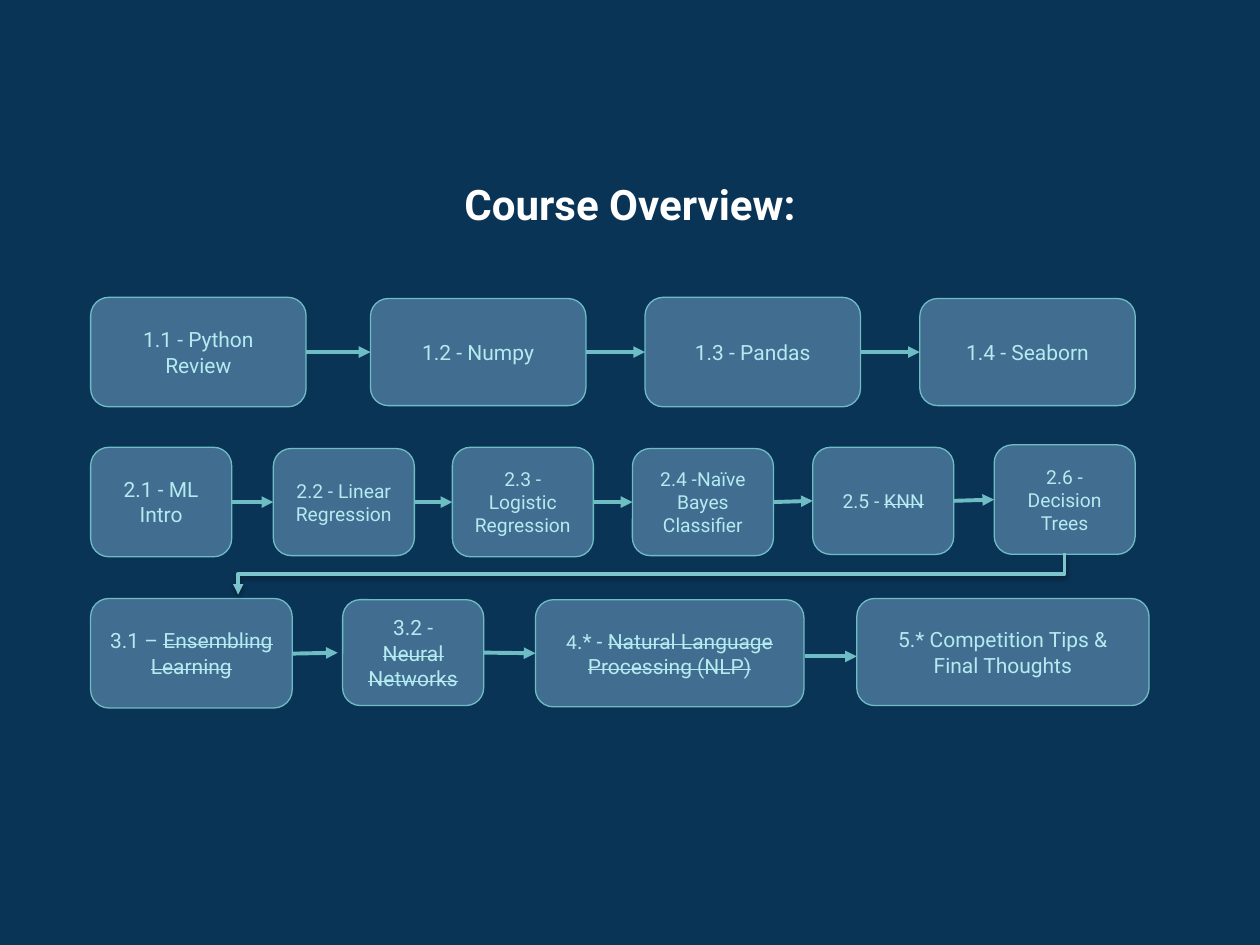
"""Build the course overview slide: three rows of linked course modules."""
from itertools import pairwise

from lxml import etree
from pptx import Presentation
from pptx.dml.color import RGBColor
from pptx.enum.shapes import MSO_CONNECTOR, MSO_SHAPE
from pptx.enum.text import MSO_ANCHOR, PP_ALIGN
from pptx.oxml import parse_xml
from pptx.oxml.ns import nsdecls, qn
from pptx.util import Pt

STRAIGHT, ELBOW = MSO_CONNECTOR.STRAIGHT, MSO_CONNECTOR.ELBOW
ROUNDED = MSO_SHAPE.FLOWCHART_ALTERNATE_PROCESS
MIDDLE, TOP, CENTER = MSO_ANCHOR.MIDDLE, MSO_ANCHOR.TOP, PP_ALIGN.CENTER
LEFT_SIDE, RIGHT_SIDE = 1, 3

NAVY = RGBColor(0x0A, 0x34, 0x55)
STEEL = RGBColor(0x41, 0x6D, 0x90)
TEAL = RGBColor(0x6E, 0xBD, 0xC4)
LIGHT_TEAL = RGBColor(0x7C, 0xC5, 0xCC)
PALE = RGBColor(0xB4, 0xEB, 0xF0)
WHITE = RGBColor(0xFF, 0xFF, 0xFF)

WIDE, NARROW = 123.1, 80.6
ROWS = [
    [
        (51.8, 169.9, WIDE, 62.6, [("1.1 - Python Review", 12, False)]),
        (211.7, 170.6, WIDE, 61.2, [("1.2 - Numpy", 12, False)]),
        (368.6, 169.9, WIDE, 62.6, [("1.3 - Pandas", 12, False)]),
        (525.6, 170.6, WIDE, 61.2, [("1.4 - Seaborn", 12, False)]),
    ],
    [
        (51.8, 255.6, NARROW, 62.6, [("2.1 - ML Intro", 12, False)]),
        (156.2, 256.3, NARROW, 61.2, [("2.2 - Linear Regression", 11, False)]),
        (258.5, 255.6, NARROW, 62.6, [("2.3 - Logistic Regression", 11, False)]),
        (361.4, 256.3, NARROW, 61.2, [("2.4 -Naïve Bayes Classifier", 11, False)]),
        (464.4, 255.6, NARROW, 61.2, [("2.5 - ", 11, False), ("KNN", 11, True)]),
        (568.1, 254.2, NARROW, 62.6, [("2.6 - Decision Trees", 11, False)]),
    ],
    [
        (51.8, 342, 115.2, 62.6, [("3.1 – ", 12, False), ("Ensembling Learning", 12, True)]),
        (195.8, 342.7, NARROW, 60.5, [("3.2 - ", 12, False), ("Neural Networks", 12, True)]),
        (306, 342.7, 153.4, 61.2, [("4", 11, False), (".* - ", 12, False),
                                   ("Natural Language Processing (NLP)", 12, True)]),
        (489.6, 342, 167, 61.2, [("5.* Competition Tips & Final Thoughts", 12, False)]),
    ],
]
LOOSE_ARROWS = [(167, 373.5, 193, 373), (460.1, 375.1, 489.6, 375.1)]
TURN_START, TURN_END = (608.4, 316.1), (136.1, 339.8)


def add_arrow(kind, x1, y1, x2, y2, color, width):
    arrow = slide.shapes.add_connector(kind, Pt(x1), Pt(y1), Pt(x2), Pt(y2))
    arrow.line.color.rgb = color
    arrow.line.width = Pt(width)
    line = arrow.line._get_or_add_ln()
    etree.SubElement(line, qn("a:tailEnd"), type="triangle")
    etree.SubElement(arrow._element.spPr, qn("a:effectLst"))
    return arrow


def write_text(shape, runs, color, anchor, bold=False):
    frame = shape.text_frame
    frame.word_wrap = True
    frame.vertical_anchor = anchor
    frame.margin_left = frame.margin_right = Pt(7.2)
    frame.margin_top = frame.margin_bottom = Pt(7.2)
    paragraph = frame.paragraphs[0]
    paragraph.alignment = CENTER
    for text, size, struck in runs:
        run = paragraph.add_run()
        run.text = text
        run.font.name = "Roboto"
        run.font.size = Pt(size)
        run.font.bold = bold
        run.font.color.rgb = color
        if struck:
            run._r.get_or_add_rPr().set("strike", "sngStrike")


deck = Presentation()
deck.slide_width, deck.slide_height = Pt(720), Pt(540)
slide = deck.slides.add_slide(deck.slide_layouts[6])
slide.background.fill.solid()
slide.background.fill.fore_color.rgb = NAVY

title = slide.shapes.add_textbox(Pt(129.6), Pt(95), Pt(460.8), Pt(74.2))
write_text(title, [("Course Overview:", 24, False)], WHITE, TOP, bold=True)

module_rows = []
for row in ROWS:
    modules = []
    for left, top, width, height, runs in row:
        module = slide.shapes.add_shape(ROUNDED, Pt(left), Pt(top), Pt(width), Pt(height))
        module.shadow.inherit = False
        module.fill.solid()
        module.fill.fore_color.rgb = STEEL
        module.line.color.rgb = TEAL
        module.line.width = Pt(0.75)
        write_text(module, runs, PALE, MIDDLE)
        modules.append(module)
    module_rows.append(modules)

basics, models, advanced = module_rows
for before, after in [*pairwise(basics), *pairwise(models), advanced[1:3]]:
    step = add_arrow(STRAIGHT, 0, 0, 0, 0, TEAL, 2.25)
    step.begin_connect(before, RIGHT_SIDE)
    step.end_connect(after, LEFT_SIDE)

for ends in LOOSE_ARROWS:
    add_arrow(STRAIGHT, *ends, TEAL, 2.25)

drop = TURN_END[1] - TURN_START[1]
span = TURN_START[0] - TURN_END[0]
center_x = (TURN_START[0] + TURN_END[0]) / 2
center_y = (TURN_START[1] + TURN_END[1]) / 2
turn = add_arrow(ELBOW, center_x - drop / 2, center_y - span / 2,
                 center_x + drop / 2, center_y + span / 2, LIGHT_TEAL, 2)
turn._element.spPr.find(qn("a:xfrm")).set("rot", "5400000")
turn._element.spPr.find(qn("a:effectLst")).append(parse_xml(
    f'<a:outerShdw {nsdecls("a")} blurRad="40000" dist="20000" dir="5400000" rotWithShape="0">'
    '<a:srgbClr val="000000"><a:alpha val="38000"/></a:srgbClr></a:outerShdw>'))

deck.save("out.pptx")
